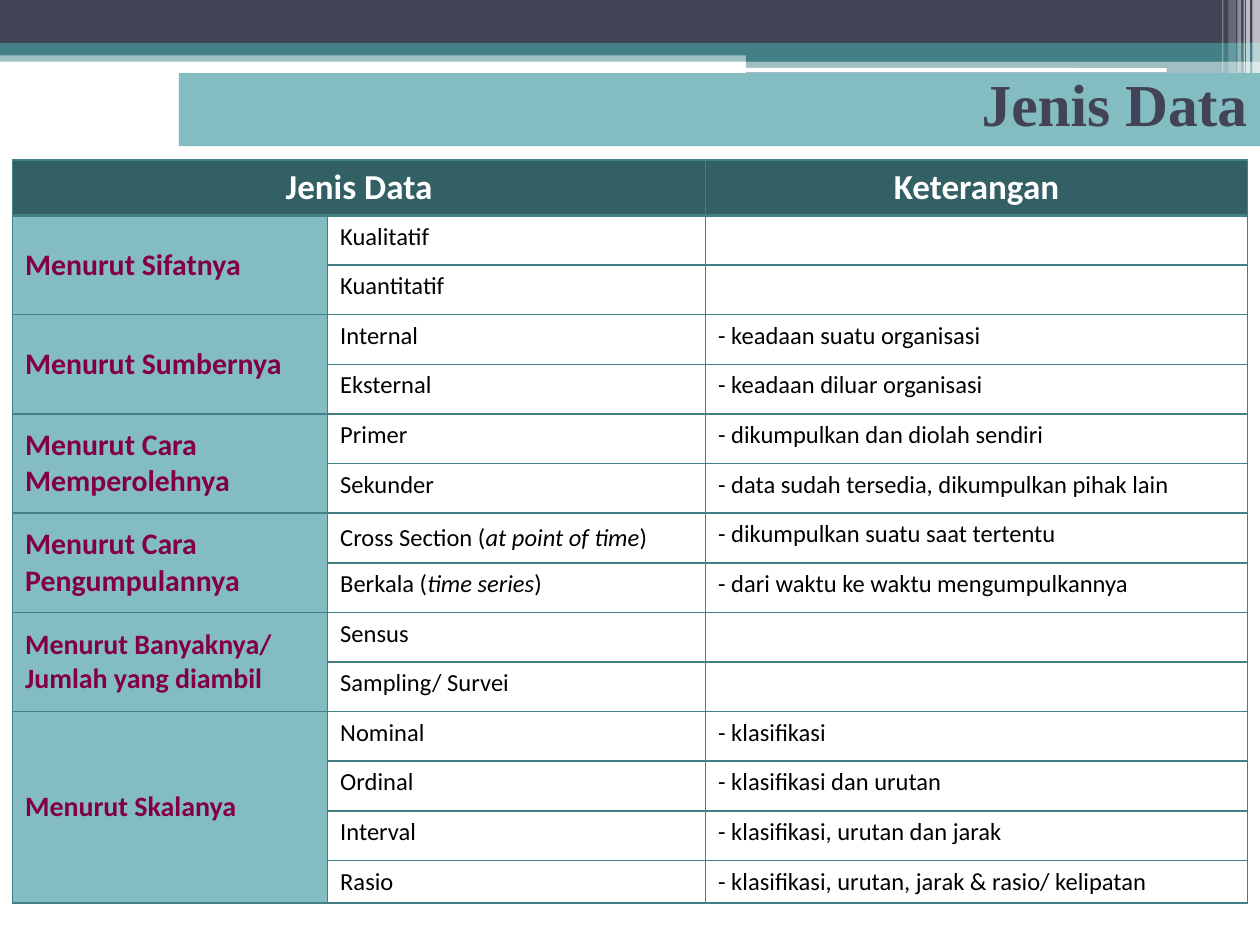
from dataclasses import dataclass

from lxml.etree import SubElement
from pptx import Presentation
from pptx.dml.color import RGBColor
from pptx.enum.shapes import MSO_SHAPE
from pptx.enum.text import MSO_ANCHOR, PP_ALIGN
from pptx.oxml import parse_xml
from pptx.oxml.ns import nsdecls, qn
from pptx.util import Inches, Pt

NAVY, TEAL, DARK_TEAL, LIGHT_TEAL = "424456", "438086", "326064", "83BCC1"
WHITE, BLACK, MAROON = "FFFFFF", "000000", "820041"


@dataclass
class Bar:
    left: float
    top: float
    width: float
    height: float
    color: str
    alpha: int = 100
    shape: MSO_SHAPE = MSO_SHAPE.RECTANGLE


@dataclass
class Group:
    name: str
    size: int
    rows: list[tuple[str, str]]  # asterisks enclose italic words


BARS = [
    Bar(0, 0.4, 10, 0.09, TEAL, 50),
    Bar(0, 0, 10, 0.34, NAVY),
    Bar(0, 0.34, 10, 0.1, TEAL),
    Bar(5.92, 0.39, 4.08, 0.1, TEAL),
    Bar(5.92, 0.48, 4.08, 0.2, TEAL, 50),
    Bar(5.91, 0.54, 3.35, 0.03, WHITE, shape=MSO_SHAPE.ROUNDED_RECTANGLE),
    Bar(9.94, 0, 0.06, 0.68, WHITE, 65),
    Bar(9.89, 0, 0.03, 0.68, WHITE, 65),
    Bar(9.87, 0, 0.01, 0.68, WHITE, 60),
    Bar(9.82, 0, 0.03, 0.68, WHITE, 40),
    Bar(9.75, 0, 0.06, 0.64, WHITE, 20),
    Bar(9.7, 0, 0.01, 0.64, WHITE, 30),
]

GROUPS = [
    Group("Menurut Sifatnya", 17, [("Kualitatif", ""), ("Kuantitatif", "")]),
    Group("Menurut Sumbernya", 17, [
        ("Internal", "- keadaan suatu organisasi"),
        ("Eksternal", "- keadaan diluar organisasi")]),
    Group("Menurut Cara Memperolehnya", 17, [
        ("Primer", "- dikumpulkan dan diolah sendiri"),
        ("Sekunder", "- data sudah tersedia, dikumpulkan pihak lain")]),
    Group("Menurut Cara Pengumpulannya", 17, [
        ("Cross Section (*at point of time*)", "- dikumpulkan suatu saat tertentu"),
        ("Berkala (*time series*)", "- dari waktu ke waktu mengumpulkannya")]),
    Group("Menurut Banyaknya/ Jumlah yang diambil", 16, [
        ("Sensus", ""), ("Sampling/ Survei", "")]),
    Group("Menurut Skalanya", 16, [
        ("Nominal", "- klasifikasi"),
        ("Ordinal", "- klasifikasi dan urutan"),
        ("Interval", "- klasifikasi, urutan dan jarak"),
        ("Rasio", "- klasifikasi, urutan, jarak & rasio/ kelipatan")]),
]


def rgb(color: str) -> RGBColor:
    return RGBColor.from_string(color)


def write(tf, text: str, *, size: int = 14, color: str = BLACK, bold: bool = False,
          font: str = "Calibri", align=PP_ALIGN.LEFT) -> None:
    p = tf.paragraphs[0]
    p.alignment = align
    for i, part in enumerate(text.split("*")):
        if not part:
            continue
        r = p.add_run()
        r.text = part
        r.font.name, r.font.size, r.font.bold = font, Pt(size), bold
        r.font.italic = i % 2 == 1
        r.font.color.rgb = rgb(color)
    if not text:
        SubElement(p._p, qn("a:endParaRPr"), sz=str(size * 100))


def add_bar(slide, bar: Bar) -> None:
    sp = slide.shapes.add_shape(bar.shape, Inches(bar.left), Inches(bar.top),
                                Inches(bar.width), Inches(bar.height))
    sp.shadow.inherit = False
    sp.line.fill.background()
    sp.fill.solid()
    sp.fill.fore_color.rgb = rgb(bar.color)
    if bar.alpha < 100:
        clr = sp._element.spPr.find(".//" + qn("a:srgbClr"))
        SubElement(clr, qn("a:alpha"), val=str(bar.alpha * 1000))


def style_cell(cell, fill: str | None, top: int = 1, bottom: int = 1) -> None:
    if fill:
        cell.fill.solid()
        cell.fill.fore_color.rgb = rgb(fill)
    else:
        cell.fill.background()
    widths = {"lnL": 1, "lnR": 1, "lnT": top, "lnB": bottom}
    for i, (tag, width) in enumerate(widths.items()):
        ln = parse_xml(
            f'<a:{tag} {nsdecls("a")} w="{Pt(width)}"><a:solidFill>'
            f'<a:srgbClr val="{TEAL}"/></a:solidFill></a:{tag}>')
        cell._tc.get_or_add_tcPr().insert(i, ln)


def add_data_table(slide) -> None:
    heights = [0.43] + [0.394] * 13 + [0.33]
    heights = [round(h, 3) for h in heights]
    table = slide.shapes.add_table(len(heights), 3, Inches(0.1), Inches(1.27),
                                   Inches(9.8), Inches(5.89)).table
    for col, width in zip(table.columns, (2.5, 3, 4.3)):
        col.width = Inches(width)
    for row, height in zip(table.rows, heights):
        row.height = Inches(height)

    # Borders and fills
    for r in range(len(heights)):
        for c in range(3):
            fill = DARK_TEAL if r == 0 else LIGHT_TEAL if c == 0 else None
            style_cell(table.cell(r, c), fill, top=2 if r == 1 else 1,
                       bottom=2 if r == 0 else 1)

    # Header
    table.cell(0, 0).merge(table.cell(0, 1))
    for c, text in ((0, "Jenis Data"), (2, "Keterangan")):
        cell = table.cell(0, c)
        cell.vertical_anchor = MSO_ANCHOR.MIDDLE
        write(cell.text_frame, text, size=20, color=WHITE, bold=True, align=PP_ALIGN.CENTER)

    # Groups of data kinds
    first = 1
    for group in GROUPS:
        last = first + len(group.rows) - 1
        cell = table.cell(first, 0)
        cell.merge(table.cell(last, 0))
        cell.vertical_anchor = MSO_ANCHOR.MIDDLE
        write(cell.text_frame, group.name, size=group.size, color=MAROON, bold=True)
        for r, texts in enumerate(group.rows, first):
            for c, text in enumerate(texts, 1):
                write(table.cell(r, c).text_frame, text)
                if text.startswith("Cross"):
                    table.cell(r, c).vertical_anchor = MSO_ANCHOR.MIDDLE
        first = last + 1


def format_title(slide) -> None:
    sp = slide.shapes.title
    sp.left, sp.top, sp.width, sp.height = map(Inches, (1.42, 0.58, 8.58, 0.58))
    sp.fill.solid()
    sp.fill.fore_color.rgb = rgb(LIGHT_TEAL)
    tf = sp.text_frame
    tf.vertical_anchor = MSO_ANCHOR.MIDDLE
    write(tf, "Jenis Data", size=34, color=NAVY, bold=True,
          font="Times New Roman", align=PP_ALIGN.RIGHT)
    tf.paragraphs[0].line_spacing = 0.8
    slide.shapes._spTree.append(sp._element)  # bring to front


prs = Presentation()
prs.slide_width, prs.slide_height = Inches(10), Inches(7.5)
slide = prs.slides.add_slide(prs.slide_layouts[5])
for bar in BARS:
    add_bar(slide, bar)
add_data_table(slide)
format_title(slide)
prs.save("out.pptx")
